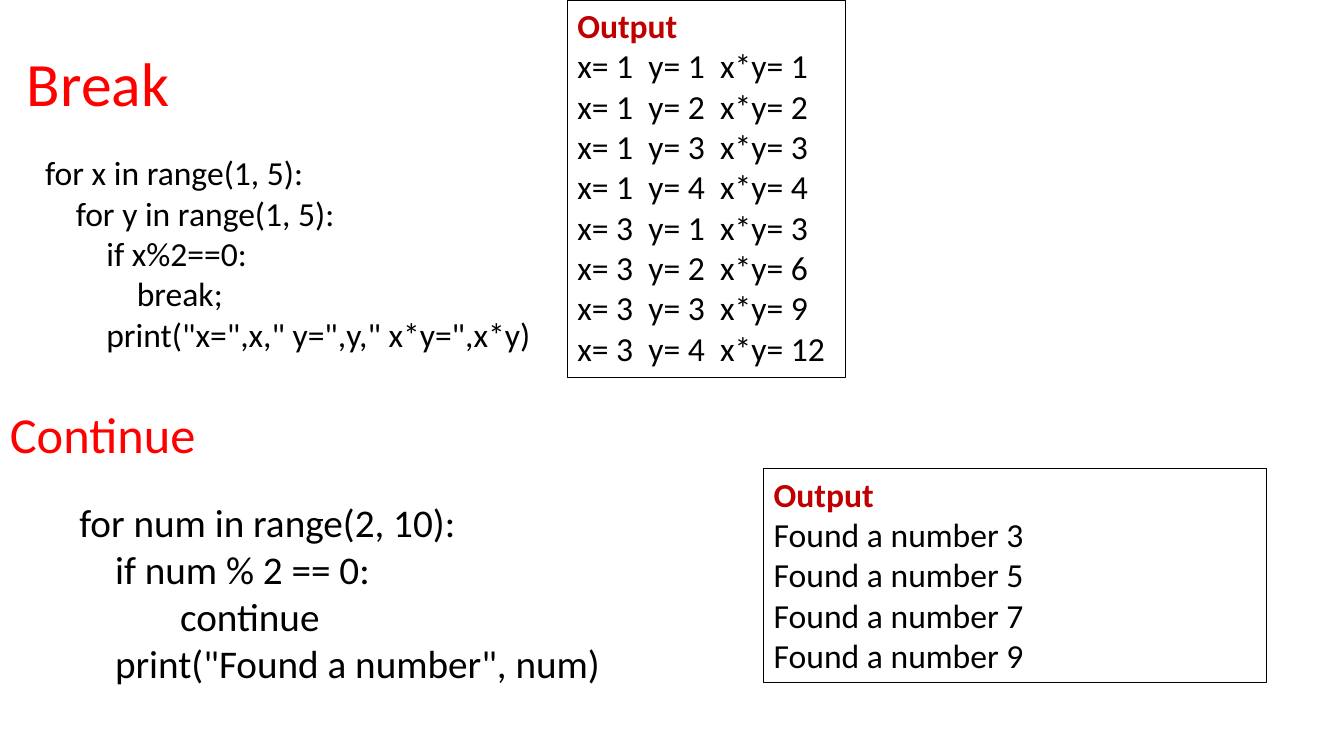
from dataclasses import dataclass

from pptx import Presentation
from pptx.dml.color import RGBColor
from pptx.enum.shapes import MSO_SHAPE
from pptx.enum.text import MSO_ANCHOR, PP_ALIGN
from pptx.util import Cm, Pt


@dataclass(frozen=True)
class Theme:
    font: str = "Calibri"
    ink: RGBColor = RGBColor(0x00, 0x00, 0x00)
    heading: RGBColor = RGBColor(0xFF, 0x00, 0x00)
    label: RGBColor = RGBColor(0xC0, 0x00, 0x00)
    title_size: int = 44
    subtitle_size: int = 36
    large_code_size: int = 28
    body_size: int = 24
    border: float = 0.5


class SlideBuilder:
    def __init__(self, slide, theme):
        self.slide = slide
        self.theme = theme

    def fill_text(self, frame, lines, size, color):
        """Fill a text frame with one paragraph per line."""
        frame.word_wrap = True
        for i, line in enumerate(lines):
            paragraph = frame.paragraphs[0] if i == 0 else frame.add_paragraph()
            paragraph.alignment = PP_ALIGN.LEFT
            run = paragraph.add_run()
            run.text = line
            run.font.name = self.theme.font
            run.font.size = Pt(size)
            run.font.color.rgb = color
        return frame.paragraphs

    def heading(self, text, box, size, anchor=MSO_ANCHOR.TOP):
        frame = self.slide.shapes.add_textbox(*map(Cm, box)).text_frame
        frame.vertical_anchor = anchor
        self.fill_text(frame, [text], size, self.theme.heading)

    def code(self, lines, box, size):
        """Set (indent in cm, text) pairs as lines of code."""
        frame = self.slide.shapes.add_textbox(*map(Cm, box)).text_frame
        texts = [text for _, text in lines]
        paragraphs = self.fill_text(frame, texts, size, self.theme.ink)
        for paragraph, (indent, _) in zip(paragraphs, lines):
            paragraph._p.get_or_add_pPr().set("marL", str(Cm(indent)))

    def output(self, lines, box):
        """Draw a bordered box with a bold label above the printed lines."""
        shape = self.slide.shapes.add_shape(MSO_SHAPE.RECTANGLE, *map(Cm, box))
        shape.shadow.inherit = False
        shape.fill.background()
        shape.line.color.rgb = self.theme.ink
        shape.line.width = Pt(self.theme.border)
        shape.text_frame.vertical_anchor = MSO_ANCHOR.TOP
        paragraphs = self.fill_text(shape.text_frame, ["Output", *lines],
                                    self.theme.body_size, self.theme.ink)
        label = paragraphs[0].runs[0].font
        label.bold = True
        label.color.rgb = self.theme.label


prs = Presentation()
prs.slide_width, prs.slide_height = Cm(33.87), Cm(19.05)
theme = Theme()
page = SlideBuilder(prs.slides.add_slide(prs.slide_layouts[6]), theme)

# Break: heading, nested loops and their output
page.output([f"x= {x}  y= {y}  x*y= {x * y}" for x in (1, 3) for y in range(1, 5)],
            (14.3, 0, 7.01, 9.5))
page.heading("Break", (0.43, 0.23, 29.21, 3.68), theme.title_size, MSO_ANCHOR.MIDDLE)
STEP = 0.77
page.code([(0, "for x in range(1, 5):"),
           (STEP, "for y in range(1, 5):"),
           (2 * STEP, "if x%2==0:"),
           (3 * STEP, "break;"),
           (2 * STEP, 'print("x=",x," y=",y," x*y=",x*y)')],
          (0.89, 3.71, 16.94, 5.38), theme.body_size)

# Continue: heading, loop and its output
LARGE_STEP, TAB = 0.9, 2.54
page.code([(0, "for num in range(2, 10):"),
           (LARGE_STEP, "if num % 2 == 0:"),
           (TAB, "continue"),
           (LARGE_STEP, 'print("Found a number", num)')],
          (1.75, 12.42, 16.94, 5.05), theme.large_code_size)
page.heading("Continue", (0, 10.03, 24.77, 3.56), theme.subtitle_size)
page.output([f"Found a number {num}" for num in range(3, 10, 2)],
            (19.25, 11.81, 12.67, 5.38))

prs.save("out.pptx")
